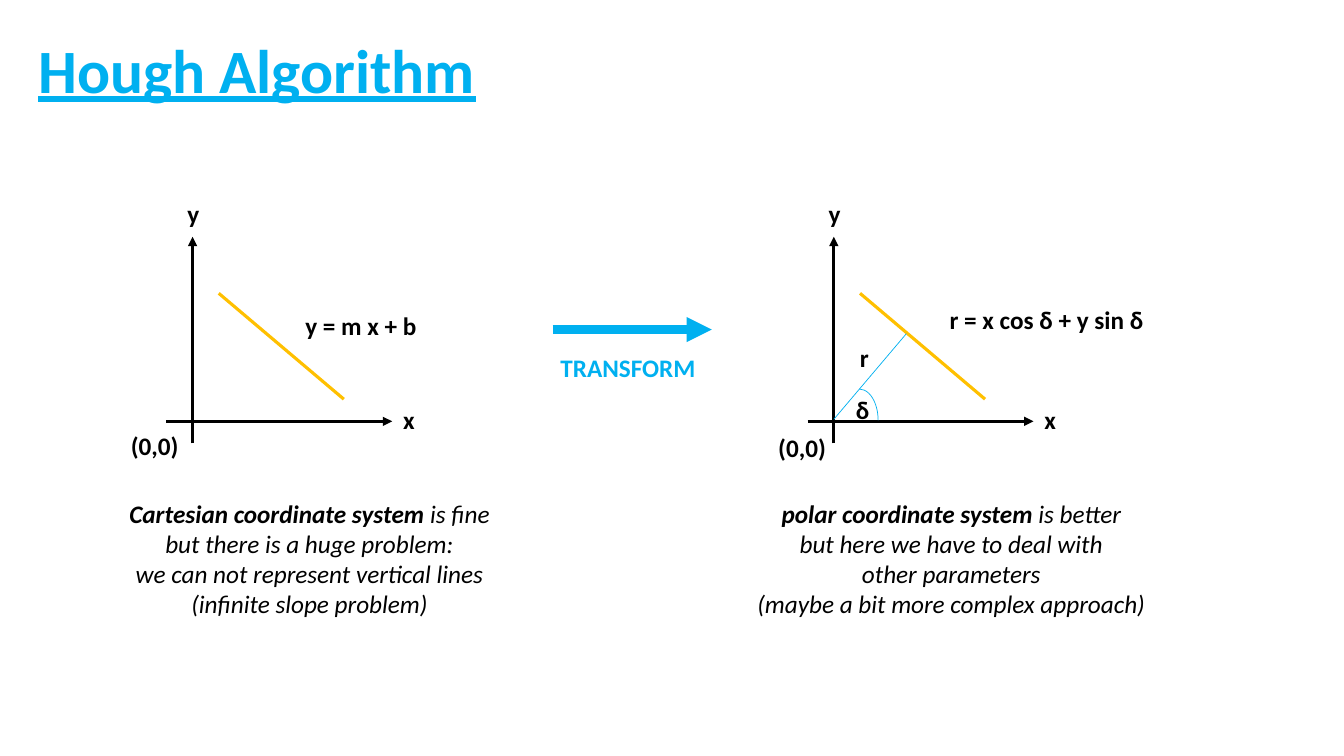
import pptx
import pptx.dml.color
import pptx.enum.shapes
import pptx.enum.text
import pptx.oxml
import pptx.oxml.ns
import pptx.util
from pptx.util import Inches

THEME = {
    "font": "Calibri",
    "title_size": 44, "body_size": 18,
    "accent": "00B0F0", "ink": "000000", "plotted": "FFC000",
    "thin": 0.5, "medium": 2.25, "thick": 6,
}

TITLE = "Hough Algorithm"

# Each plot: origin, labels as (text, left, top, width), and caption.
# Captions hold lines of (text, bold) runs.
PLOTS = [
    {
        "origin": (1.91, 4.18),
        "labels": [("y = m x + b", 2.93, 3.03, 1.32), ("(0,0)", 1.2, 4.22, 0.68)],
        "caption_at": (1.16, 4.89, 3.82, 1.31),
        "caption": [
            [("Cartesian coordinate system ", True), ("is fine", False)],
            [("but there is a huge problem:", False)],
            [("we can not represent vertical lines", False)],
            [("(infinite slope problem)", False)],
        ],
    },
    {
        "origin": (8.27, 4.18),
        "labels": [("r = x cos δ + y sin δ", 9.32, 2.97, 2.15), ("(0,0)", 7.62, 4.24, 0.68),
                   ("r", 8.43, 3.35, 0.29), ("δ", 8.39, 3.86, 0.34)],
        "caption_at": (7.39, 4.89, 4.09, 1.62),
        "caption": [
            [("polar coordinate system ", True), ("is better", False)],
            [("but here we have to deal with", False)],
            [("other parameters", False)],
            [("(maybe a bit more complex approach)", False)],
        ],
    },
]

# Offsets from a plot's origin
AXES = [((0, 0.22), (0, -1.83)), ((-0.26, 0), (1.98, 0))]
AXIS_NAMES = [("x", 1.99, -0.22), ("y", -0.15, -2.26)]
PLOTTED_LINE = ((0.26, -1.27), (1.5, -0.22))

RADIUS = ((8.27, 4.16), (8.99, 3.31))
ANGLE_ARC = (8.34, 3.86, 0.37, 0.62)
TRANSFORM_ARROW = ((5.48, 3.27), (7.06, 3.27))
TRANSFORM_LABEL = ("TRANSFORM", 5.46, 3.45, 1.55)
LABEL_HEIGHT = 0.4


def color(name):
    return pptx.dml.color.RGBColor.from_string(THEME[name])


def style_font(font, size="body_size", ink="ink", **formats):
    values = {"name": THEME["font"], "size": pptx.util.Pt(THEME[size]), **formats}
    for name, value in values.items():
        setattr(font, name, value)
    font.color.rgb = color(ink)


def style_line(line, ink, width):
    line.color.rgb = color(ink)
    line.width = pptx.util.Pt(THEME[width])


def add_line(page, start, end, ink="ink", width="medium", arrow=False):
    line = page.shapes.add_connector(
        pptx.enum.shapes.MSO_CONNECTOR.STRAIGHT, *map(Inches, (*start, *end)))
    style_line(line.line, ink, width)
    if arrow:
        head = pptx.oxml.parse_xml(
            f'<a:tailEnd {pptx.oxml.ns.nsdecls("a")} type="triangle"/>')
        line.line._get_or_add_ln().append(head)
    line._element.spPr.append(
        pptx.oxml.parse_xml(f'<a:effectLst {pptx.oxml.ns.nsdecls("a")}/>'))


def add_text(page, place, lines, ink="ink", italic=False, align="LEFT"):
    """Add a text box from lines of (text, bold) runs."""
    frame = page.shapes.add_textbox(*map(Inches, place)).text_frame
    frame.word_wrap = False
    frame.auto_size = pptx.enum.text.MSO_AUTO_SIZE.SHAPE_TO_FIT_TEXT
    for index, runs in enumerate(lines):
        para = frame.add_paragraph() if index else frame.paragraphs[0]
        para.alignment = pptx.enum.text.PP_ALIGN[align]
        for text, bold in runs:
            span = para.add_run()
            span.text = text
            style_font(span.font, ink=ink, bold=bold, italic=italic)


def add_label(page, text, left, top, width, ink="ink"):
    add_text(page, (left, top, width, LABEL_HEIGHT), [[(text, True)]], ink)


def add_title(page):
    title = page.shapes.title
    place = {"left": 0.28, "top": 0, "width": 11.5, "height": 1.45}
    for name, value in place.items():
        setattr(title, name, Inches(value))
    frame = title.text_frame
    frame.text = TITLE
    frame.vertical_anchor = pptx.enum.text.MSO_ANCHOR.MIDDLE
    para = frame.paragraphs[0]
    para.alignment = pptx.enum.text.PP_ALIGN.LEFT
    para.line_spacing = 0.9
    style_font(para.runs[0].font, "title_size", "accent", bold=True, underline=True)


def add_plot(page, plot):
    origin_x, origin_y = plot["origin"]

    def shift(point):
        return origin_x + point[0], origin_y + point[1]

    for start, end in AXES:
        add_line(page, shift(start), shift(end), arrow=True)
    add_line(page, *map(shift, PLOTTED_LINE), ink="plotted")
    for name, *offset in AXIS_NAMES:
        add_label(page, name, *shift(offset), 0.32)
    for label in plot["labels"]:
        add_label(page, *label)
    add_text(page, plot["caption_at"], plot["caption"], italic=True, align="CENTER")


def add_angle(page):
    add_line(page, *RADIUS, ink="accent", width="thin")
    arc = page.shapes.add_shape(
        pptx.enum.shapes.MSO_SHAPE.ARC, *map(Inches, ANGLE_ARC))
    arc.shadow.inherit = False
    arc.fill.background()
    style_line(arc.line, "accent", "thin")


def main():
    deck = pptx.Presentation()
    deck.slide_width, deck.slide_height = Inches(13.33), Inches(7.5)
    page = deck.slides.add_slide(deck.slide_layouts.get_by_name("Title Only"))
    add_title(page)
    for plot in PLOTS:
        add_plot(page, plot)
    add_angle(page)
    add_line(page, *TRANSFORM_ARROW, ink="accent", width="thick", arrow=True)
    add_label(page, *TRANSFORM_LABEL, ink="accent")
    deck.save("out.pptx")


if __name__ == "__main__":
    main()
